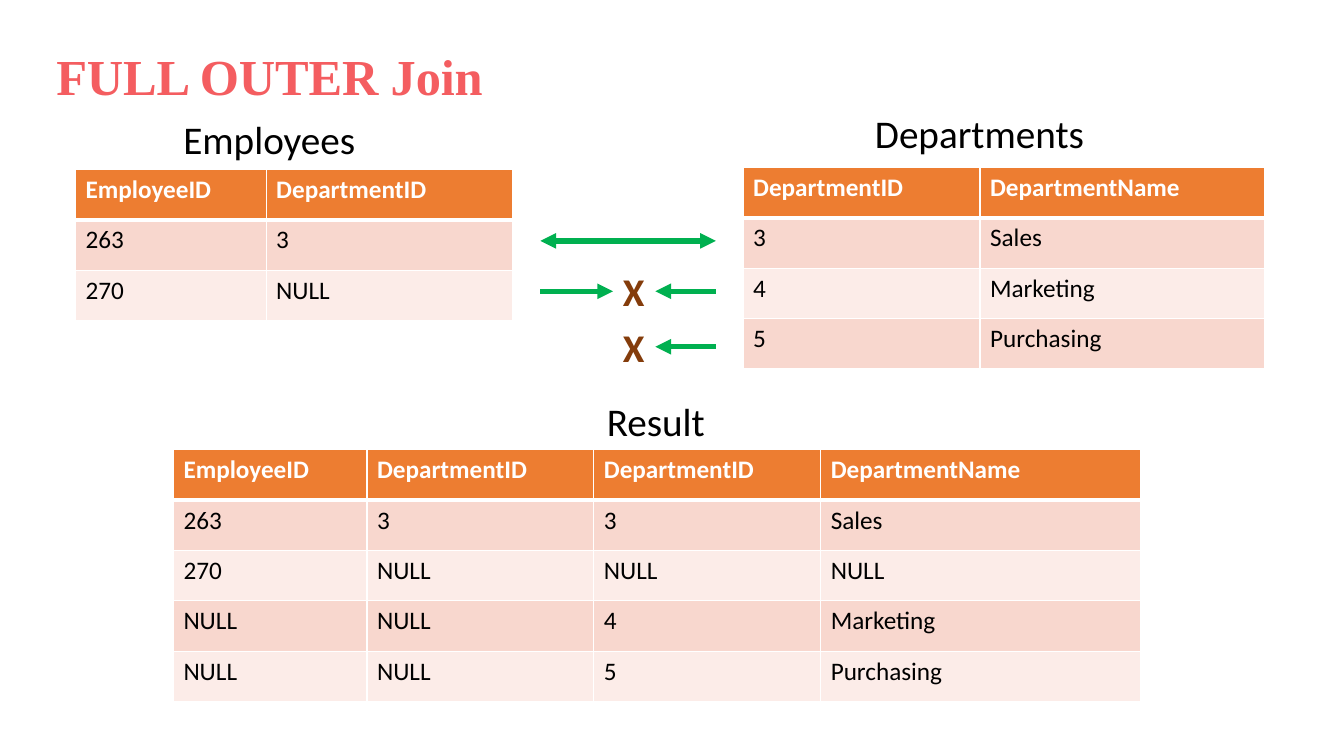
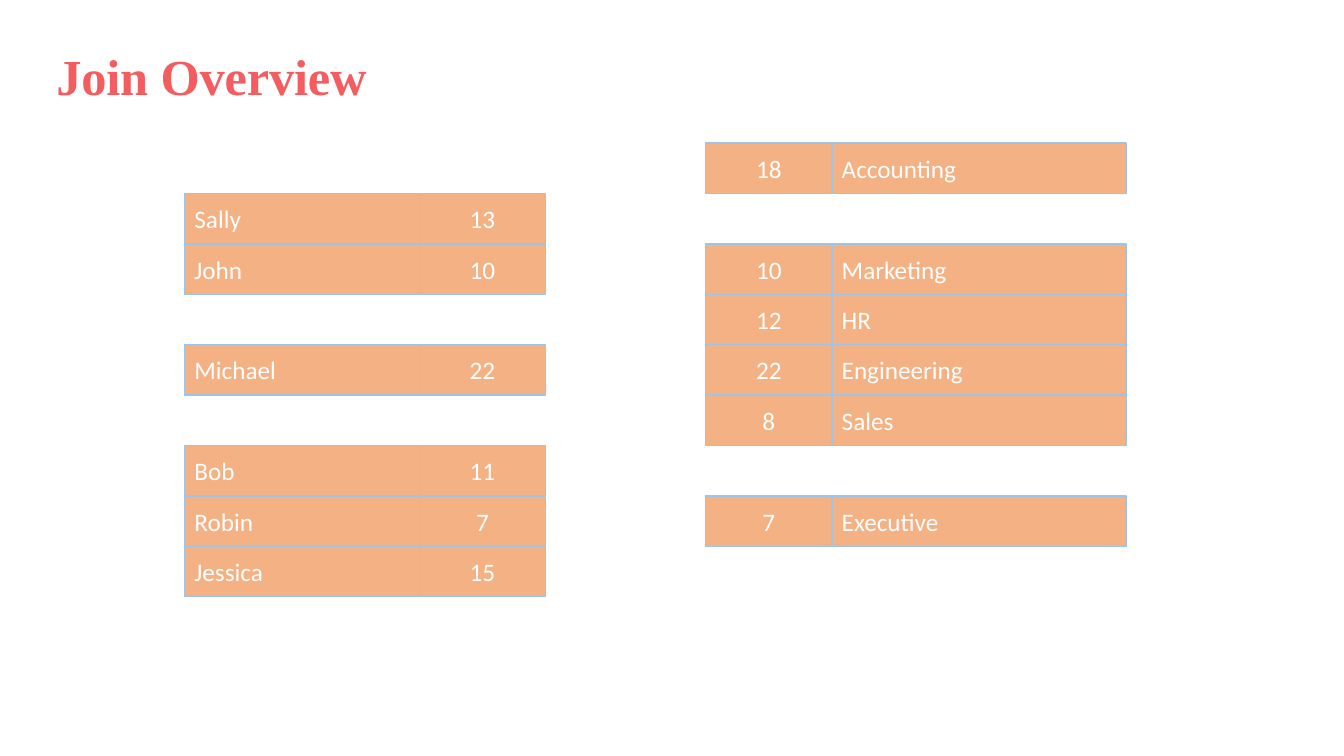
from dataclasses import dataclass
from typing import Any

from lxml import etree
from pptx import Presentation
from pptx.dml.color import RGBColor
from pptx.enum.shapes import MSO_CONNECTOR, MSO_SHAPE
from pptx.enum.text import MSO_ANCHOR, MSO_AUTO_SIZE, PP_ALIGN
from pptx.oxml.ns import qn
from pptx.slide import Slide
from pptx.util import Emu, Pt

STRAIGHT = MSO_CONNECTOR.STRAIGHT
RECTANGLE = MSO_SHAPE.RECTANGLE
MIDDLE = MSO_ANCHOR.MIDDLE
FIT_SHAPE = MSO_AUTO_SIZE.SHAPE_TO_FIT_TEXT
LEFT, CENTER = PP_ALIGN.LEFT, PP_ALIGN.CENTER

WHITE = RGBColor(0xFF, 0xFF, 0xFF)
BLACK = RGBColor(0x00, 0x00, 0x00)
CORAL = RGBColor(0xF4, 0x5D, 0x60)
ORANGE = RGBColor(0xED, 0x7D, 0x31)
DARK_BAND = RGBColor(0xF8, 0xD7, 0xCE)
LIGHT_BAND = RGBColor(0xFC, 0xEC, 0xE8)
GREEN = RGBColor(0x00, 0xB0, 0x50)
BROWN = RGBColor(0x84, 0x3C, 0x0B)
PEACH = RGBColor(0xF4, 0xB1, 0x83)
PALE_BLUE = RGBColor(0x9D, 0xC3, 0xE6)

EMU_PER_PX = 9144
SLIDE_WIDTH, SLIDE_HEIGHT = 1333, 750
ROW_HEIGHT = 50
RECORDS_TOP = 142
NUMBER_WIDTH = 125


@dataclass(frozen=True)
class TextStyle:
    font: dict[str, Any]
    color: RGBColor
    spacing: int = 0


@dataclass(frozen=True)
class Label:
    text: str
    left: int
    top: int
    width: int
    height: int
    style: TextStyle
    wrap: bool = False


@dataclass(frozen=True)
class Arrow:
    start: int
    end: int
    y: int
    ends: tuple[str, ...] = ("a:tailEnd",)


@dataclass(frozen=True)
class DataTable:
    left: int
    top: int
    widths: tuple[int, ...]
    rows: tuple[tuple[str, ...], ...]


@dataclass(frozen=True)
class RecordColumn:
    name_left: int
    name_width: int
    number_left: int
    records: tuple[tuple[int, str, str], ...]


def calibri(size: int, color: RGBColor, bold: bool = False) -> TextStyle:
    return TextStyle({"name": "Calibri", "size": Pt(size), "bold": bold}, color)


TITLE = TextStyle({"name": "Times New Roman", "size": Pt(36), "bold": True}, CORAL, -10)
HEADING = calibri(28, BLACK)
CROSS = calibri(28, BROWN, True)
TABLE_HEADER = calibri(18, WHITE, True)
TABLE_BODY = calibri(18, BLACK)
RECORD = calibri(18, WHITE)

TABLES = (
    DataTable(75, 168, (189, 244), (
        ("EmployeeID", "DepartmentID"),
        ("263", "3"),
        ("270", "NULL"),
    )),
    DataTable(737, 166, (235, 282), (
        ("DepartmentID", "DepartmentName"),
        ("3", "Sales"),
        ("4", "Marketing"),
        ("5", "Purchasing"),
    )),
    DataTable(172, 446, (192, 225, 225, 317), (
        ("EmployeeID", "DepartmentID", "DepartmentID", "DepartmentName"),
        ("263", "3", "3", "Sales"),
        ("270", "NULL", "NULL", "NULL"),
        ("NULL", "NULL", "4", "Marketing"),
        ("NULL", "NULL", "5", "Purchasing"),
    )),
)
LABELS = (
    Label("Employees", 172, 109, 192, 57, HEADING),
    Label("Departments", 858, 104, 230, 57, HEADING),
    Label("Result", 592, 389, 119, 57, HEADING),
    Label("X", 608, 260, 42, 57, CROSS),
    Label("X", 608, 316, 42, 57, CROSS),
)
ARROWS = (
    Arrow(710, 536, 239, ("a:headEnd", "a:tailEnd")),
    Arrow(536, 608, 289),
    Arrow(710, 650, 289),
    Arrow(710, 650, 344),
)
RECORD_COLUMNS = (
    RecordColumn(183, 233, 416, (
        (1, "Sally", "13"),
        (2, "John", "10"),
        (4, "Michael", "22"),
        (6, "Bob", "11"),
        (7, "Robin", "7"),
        (8, "Jessica", "15"),
    )),
    RecordColumn(825, 292, 700, (
        (0, "Accounting", "18"),
        (2, "Marketing", "10"),
        (3, "HR", "12"),
        (4, "Engineering", "22"),
        (5, "Sales", "8"),
        (7, "Executive", "7"),
    )),
)


def px(value: int) -> Emu:
    return Emu(value * EMU_PER_PX)


def write_text(text_frame: Any, text: str, style: TextStyle, alignment: PP_ALIGN = LEFT) -> None:
    paragraph = text_frame.paragraphs[0]
    paragraph.alignment = alignment
    run = paragraph.add_run()
    run.text = text
    for name, value in style.font.items():
        setattr(run.font, name, value)
    run.font.color.rgb = style.color
    if style.spacing:
        run._r.get_or_add_rPr().set("spc", str(style.spacing))


def add_label(slide: Slide, label: Label) -> None:
    box = slide.shapes.add_textbox(*map(px, (label.left, label.top, label.width, label.height)))
    for name, value in {"word_wrap": label.wrap, "auto_size": FIT_SHAPE}.items():
        setattr(box.text_frame, name, value)
    write_text(box.text_frame, label.text, label.style)


def add_titled_slide(presentation: Any, title: str) -> Slide:
    slide = presentation.slides.add_slide(presentation.slide_layouts[6])
    add_label(slide, Label(title, 46, 40, 668, 71, TITLE, True))
    return slide


def add_arrow(slide: Slide, arrow: Arrow) -> None:
    connector = slide.shapes.add_connector(
        STRAIGHT, *map(px, (arrow.start, arrow.y, arrow.end, arrow.y))
    )
    connector.line.color.rgb = GREEN
    connector.line.width = Pt(3.75)
    properties = connector._element.spPr
    line = properties.find(qn("a:ln"))
    for end in arrow.ends:
        etree.SubElement(line, qn(end), type="triangle")
    etree.SubElement(properties, qn("a:effectLst"))


def add_cell_borders(cell: Any, row: int) -> None:
    properties = cell._tc.get_or_add_tcPr()
    widths = {"L": 1, "R": 1, "T": 3 if row == 1 else 1, "B": 3 if row == 0 else 1}
    for side, width in widths.items():
        line = etree.SubElement(properties, qn(f"a:ln{side}"), w=str(Pt(width)))
        fill = etree.SubElement(line, qn("a:solidFill"))
        etree.SubElement(fill, qn("a:srgbClr"), val=str(WHITE))


def add_data_table(slide: Slide, data: DataTable) -> None:
    row_count = len(data.rows)
    table = slide.shapes.add_table(
        row_count, len(data.widths),
        *map(px, (data.left, data.top, sum(data.widths), row_count * ROW_HEIGHT)),
    ).table
    for name in ("first_row", "horz_banding"):
        setattr(table, name, False)
    for column, width in zip(table.columns, data.widths):
        column.width = px(width)
    for row, values in enumerate(data.rows):
        band = DARK_BAND if row % 2 else LIGHT_BAND
        for column, value in enumerate(values):
            cell = table.cell(row, column)
            add_cell_borders(cell, row)
            cell.fill.solid()
            cell.fill.fore_color.rgb = band if row else ORANGE
            write_text(cell.text_frame, value, TABLE_BODY if row else TABLE_HEADER)


def add_record_column(slide: Slide, column: RecordColumn) -> None:
    for slot, name, number in column.records:
        group = slide.shapes.add_group_shape()
        top = RECORDS_TOP + slot * ROW_HEIGHT
        for text, left, width, alignment in (
            (name, column.name_left, column.name_width, LEFT),
            (number, column.number_left, NUMBER_WIDTH, CENTER),
        ):
            shape = group.shapes.add_shape(RECTANGLE, *map(px, (left, top, width, ROW_HEIGHT)))
            shape.shadow.inherit = False
            shape.fill.solid()
            shape.fill.fore_color.rgb = PEACH
            shape.line.color.rgb = PALE_BLUE
            shape.line.width = Pt(1)
            shape.text_frame.vertical_anchor = MIDDLE
            write_text(shape.text_frame, text, RECORD, alignment)


def main() -> None:
    presentation = Presentation()
    presentation.slide_width = px(SLIDE_WIDTH)
    presentation.slide_height = px(SLIDE_HEIGHT)

    join_slide = add_titled_slide(presentation, "FULL OUTER Join")
    for data in TABLES:
        add_data_table(join_slide, data)
    for label in LABELS:
        add_label(join_slide, label)
    for arrow in ARROWS:
        add_arrow(join_slide, arrow)

    overview_slide = add_titled_slide(presentation, "Join Overview")
    for column in RECORD_COLUMNS:
        add_record_column(overview_slide, column)

    presentation.save("out.pptx")


if __name__ == "__main__":
    main()
